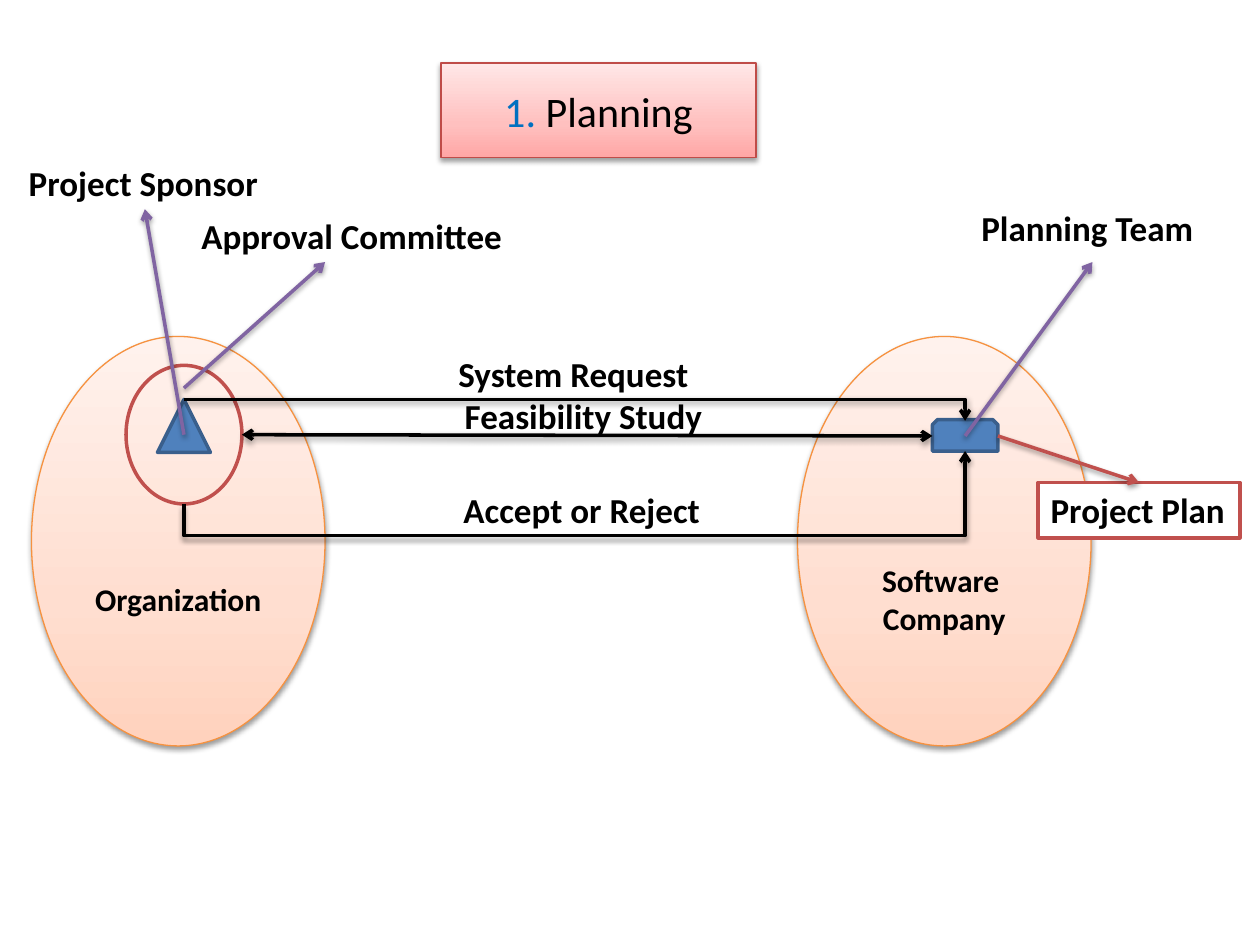
"""Build the planning slide: two parties, their roles and what they exchange."""
from dataclasses import dataclass

from lxml.etree import SubElement
from pptx import Presentation
from pptx.dml.color import RGBColor
from pptx.enum.shapes import MSO_CONNECTOR, MSO_SHAPE
from pptx.enum.text import MSO_ANCHOR, MSO_AUTO_SIZE, PP_ALIGN
from pptx.oxml.ns import qn
from pptx.util import Inches, Pt

BLACK, RED, PURPLE, BLUE, NAVY = "000000", "C0504D", "8064A2", "4F81BD", "3A5F8C"
PEACH = ("FFD2BD", "FFDED0", "FFF2ED")
ROSE = ("FFA6A5", "FFC0BF", "FFE7E7")


@dataclass(frozen=True)
class Party:
    name: str
    left: float


@dataclass(frozen=True)
class Marker:
    geometry: MSO_SHAPE
    box: tuple[float, float, float, float]
    fill: str | None
    line: str


@dataclass(frozen=True)
class Label:
    text: str
    box: tuple[float, float, float, float]
    frame: str | None = None


@dataclass(frozen=True)
class Arrow:
    start: tuple[float, float]
    end: tuple[float, float]
    color: str
    both_ends: bool = False


@dataclass(frozen=True)
class Elbow:
    box: tuple[float, float, float, float]
    preset: str
    turn: dict[str, str]
    bend: int | None = None


PARTIES = (Party("Organization", 0.25), Party("Software \nCompany", 6.33))
MARKERS = (
    Marker(MSO_SHAPE.ISOSCELES_TRIANGLE, (1.25, 3.17, 0.42, 0.42), BLUE, NAVY),
    Marker(MSO_SHAPE.OVAL, (1, 2.9, 0.92, 1.1), None, RED),
    Marker(MSO_SHAPE.SNIP_2_SAME_RECTANGLE, (7.4, 3.33, 0.52, 0.25), BLUE, NAVY),
)
LABELS = (
    Label("System Request", (3.54, 2.75, 2.04, 0.44)),
    Label("Feasibility Study", (3.59, 3.08, 2.1, 0.44)),
    Label("Accept or Reject", (3.58, 3.83, 2.1, 0.44)),
    Label("Project Plan", (8.24, 3.83, 1.6, 0.44), RED),
    Label("Project Sponsor", (0.13, 1.23, 2.04, 0.44)),
    Label("Approval Committee ", (1.5, 1.65, 2.68, 0.44)),
    Label("Planning Team", (7.69, 1.59, 1.9, 0.44)),
)
ELBOWS = (
    Elbow((1.46, 3.17, 6.2, 0.17), "bentConnector2", {}),
    Elbow((4.35, 0.69, 0.42, 6.2), "bentConnector3",
          {"rot": "5400000", "flipH": "1", "flipV": "1"}, -60000),
)
ARROWS = (
    Arrow((7.92, 3.46), (9.04, 3.83), RED),
    Arrow((1.46, 3.45), (1.15, 1.66), PURPLE),
    Arrow((1.46, 3.08), (2.58, 2.08), PURPLE),
    Arrow((7.66, 3.46), (8.67, 2.08), PURPLE),
    Arrow((1.92, 3.45), (7.4, 3.46), BLACK, both_ends=True),
)


def rgb(value: str) -> RGBColor:
    """Turn a hex string into a colour."""
    return RGBColor.from_string(value)


def inches(values: tuple[float, ...]) -> list[Inches]:
    """Turn numbers into lengths."""
    return [Inches(value) for value in values]


def set_line(item, color: str, width: float = 2) -> None:
    """Set the outline colour and width."""
    item.line.color.rgb = rgb(color)
    item.line.width = Pt(width)


def add_shadow(item) -> None:
    """Add a soft shadow below an item."""
    effects = SubElement(item._element.spPr, qn("a:effectLst"))
    shadow = SubElement(effects, qn("a:outerShdw"), blurRad=str(Pt(3.1)),
                        dist=str(Pt(1.6)), dir="5400000", rotWithShape="0")
    tint = SubElement(shadow, qn("a:srgbClr"), val=BLACK)
    SubElement(tint, qn("a:alpha"), val="38000")


def style_panel(panel, colors: tuple[str, ...], line: str) -> None:
    """Give a panel its upward gradient, thin outline and shadow."""
    panel.fill.gradient()
    panel.fill.gradient_angle = 90
    stops = panel._element.spPr.find(".//" + qn("a:gsLst"))
    for stop in list(stops):
        stops.remove(stop)
    for position, color in zip((0, 35000, 100000), colors):
        stop = SubElement(stops, qn("a:gs"), pos=str(position))
        SubElement(stop, qn("a:srgbClr"), val=color)
    set_line(panel, line, 0.75)
    add_shadow(panel)


def set_font(font, size: float, color: str = BLACK, bold: bool = True) -> None:
    """Format a font."""
    font.name, font.size, font.bold = "Calibri", Pt(size), bold
    font.color.rgb = rgb(color)


def write(frame, text: str, size: float) -> None:
    """Write bold text into a frame."""
    frame.text = text
    for paragraph in frame.paragraphs:
        for run in paragraph.runs:
            set_font(run.font, size)


def add_title(slide) -> None:
    """Fill and format the title placeholder."""
    title = slide.shapes.title
    title.left, title.top, title.width, title.height = inches((3.5, 0.5, 2.5, 0.75))
    style_panel(title, ROSE, "BF4C48")
    title.text_frame.auto_size = MSO_AUTO_SIZE.NONE
    title.text_frame.vertical_anchor = MSO_ANCHOR.MIDDLE
    paragraph = title.text_frame.paragraphs[0]
    paragraph.alignment = PP_ALIGN.CENTER
    for text, color in (("1. ", "0070C0"), ("Planning", BLACK)):
        run = paragraph.add_run()
        run.text = text
        set_font(run.font, 24, color, bold=False)


def add_party(slide, party: Party) -> None:
    """Draw a party as an ellipse named in its lower half."""
    ellipse = slide.shapes.add_shape(
        MSO_SHAPE.OVAL, *inches((party.left, 2.67, 2.33, 3.25)))
    style_panel(ellipse, PEACH, "F69240")
    frame = ellipse.text_frame
    write(frame, party.name, 18)
    frame.vertical_anchor = MSO_ANCHOR.MIDDLE
    frame.margin_top = Inches(0.96)
    for paragraph in frame.paragraphs:
        paragraph.alignment = PP_ALIGN.CENTER


def add_marker(slide, marker: Marker) -> None:
    """Draw a role inside a party."""
    shape = slide.shapes.add_shape(marker.geometry, *inches(marker.box))
    shape.shadow.inherit = False
    if marker.fill:
        shape.fill.solid()
        shape.fill.fore_color.rgb = rgb(marker.fill)
    else:
        shape.fill.background()
    set_line(shape, marker.line)


def add_label(slide, label: Label) -> None:
    """Write a label, framed if it has a frame colour."""
    box = slide.shapes.add_textbox(*inches(label.box))
    write(box.text_frame, label.text, 20)
    box.text_frame.word_wrap = False
    box.text_frame.auto_size = MSO_AUTO_SIZE.SHAPE_TO_FIT_TEXT
    if label.frame:
        box.fill.solid()
        box.fill.fore_color.rgb = rgb("FFFFFF")
        set_line(box, label.frame)


def finish_arrow(connector, color: str, both_ends: bool = False) -> None:
    """Give a connector its colour, arrowheads and shadow."""
    set_line(connector, color)
    line = connector.line._get_or_add_ln()
    for end in ("a:headEnd", "a:tailEnd") if both_ends else ("a:tailEnd",):
        SubElement(line, qn(end), type="arrow")
    add_shadow(connector)


def add_arrow(slide, arrow: Arrow) -> None:
    """Draw a straight arrow."""
    connector = slide.shapes.add_connector(
        MSO_CONNECTOR.STRAIGHT, *inches(arrow.start + arrow.end))
    finish_arrow(connector, arrow.color, arrow.both_ends)


def add_elbow(slide, elbow: Elbow) -> None:
    """Draw a bent arrow."""
    left, top, width, height = elbow.box
    connector = slide.shapes.add_connector(
        MSO_CONNECTOR.ELBOW, *inches((left, top, left + width, top + height)))
    properties = connector._element.spPr
    for key, value in elbow.turn.items():
        properties.find(qn("a:xfrm")).set(key, value)
    geometry = properties.find(qn("a:prstGeom"))
    geometry.set("prst", elbow.preset)
    if elbow.bend is not None:
        SubElement(geometry.find(qn("a:avLst")), qn("a:gd"),
                   name="adj1", fmla=f"val {elbow.bend}")
    finish_arrow(connector, BLACK)


def main() -> None:
    """Build and save the slide."""
    deck = Presentation()
    deck.slide_width, deck.slide_height = inches((10, 7.5))
    slide = deck.slides.add_slide(deck.slide_layouts[5])
    add_title(slide)
    for draw, items in ((add_party, PARTIES), (add_marker, MARKERS),
                        (add_elbow, ELBOWS), (add_label, LABELS), (add_arrow, ARROWS)):
        for item in items:
            draw(slide, item)
    deck.save("out.pptx")


main()
